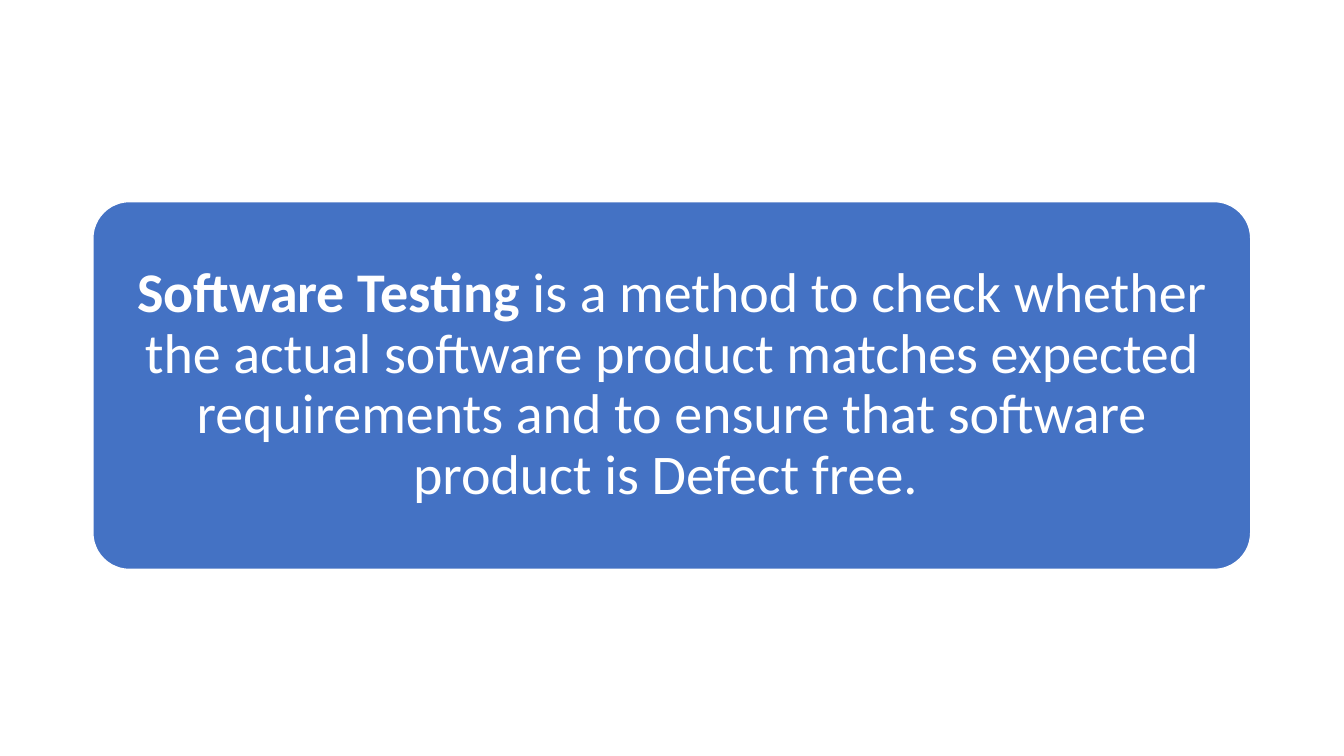
from pptx import Presentation
from pptx.dml.color import RGBColor
from pptx.enum.shapes import MSO_SHAPE
from pptx.enum.text import MSO_ANCHOR, PP_ALIGN
from pptx.util import Cm, Pt

COLORS = {"panel": "4472C4", "light": "FFFFFF"}
TERM = "Software Testing"
MEANING = (
    " is a method to check whether the actual software product matches "
    "expected requirements and to ensure that software product is Defect free. "
)


def add_definition(slide, left, top, width, height):
    """Place a rounded panel with a bold term and its meaning in the given box."""
    panel = slide.shapes.add_shape(
        MSO_SHAPE.ROUNDED_RECTANGLE, left, top, width, height
    )
    panel.adjustments[0] = 0.1
    panel.shadow.inherit = False
    panel.fill.solid()
    panel.fill.fore_color.rgb = RGBColor.from_string(COLORS["panel"])
    panel.line.color.rgb = RGBColor.from_string(COLORS["light"])
    panel.line.width = Pt(1)

    frame = panel.text_frame
    frame.word_wrap = True
    frame.vertical_anchor = MSO_ANCHOR.MIDDLE
    frame.margin_left = frame.margin_right = Cm(0.42)
    frame.margin_top = frame.margin_bottom = Cm(0.42)

    definition = frame.paragraphs[0]
    definition.alignment = PP_ALIGN.CENTER
    definition.line_spacing = 0.9
    definition.font.name = "Calibri"
    definition.font.size = Pt(40)
    definition.font.color.rgb = RGBColor.from_string(COLORS["light"])
    for wording, bold in ((TERM, True), (MEANING, False)):
        part = definition.add_run()
        part.text = wording
        part.font.bold = bold


def main():
    """Build the definition slide and save it."""
    deck = Presentation()
    deck.slide_width = Cm(33.87)
    deck.slide_height = Cm(19.05)
    slide = deck.slides.add_slide(deck.slide_layouts[6])
    add_definition(slide, Cm(2.34), Cm(5.08), Cm(29.18), Cm(9.27))
    deck.save("out.pptx")


if __name__ == "__main__":
    main()
